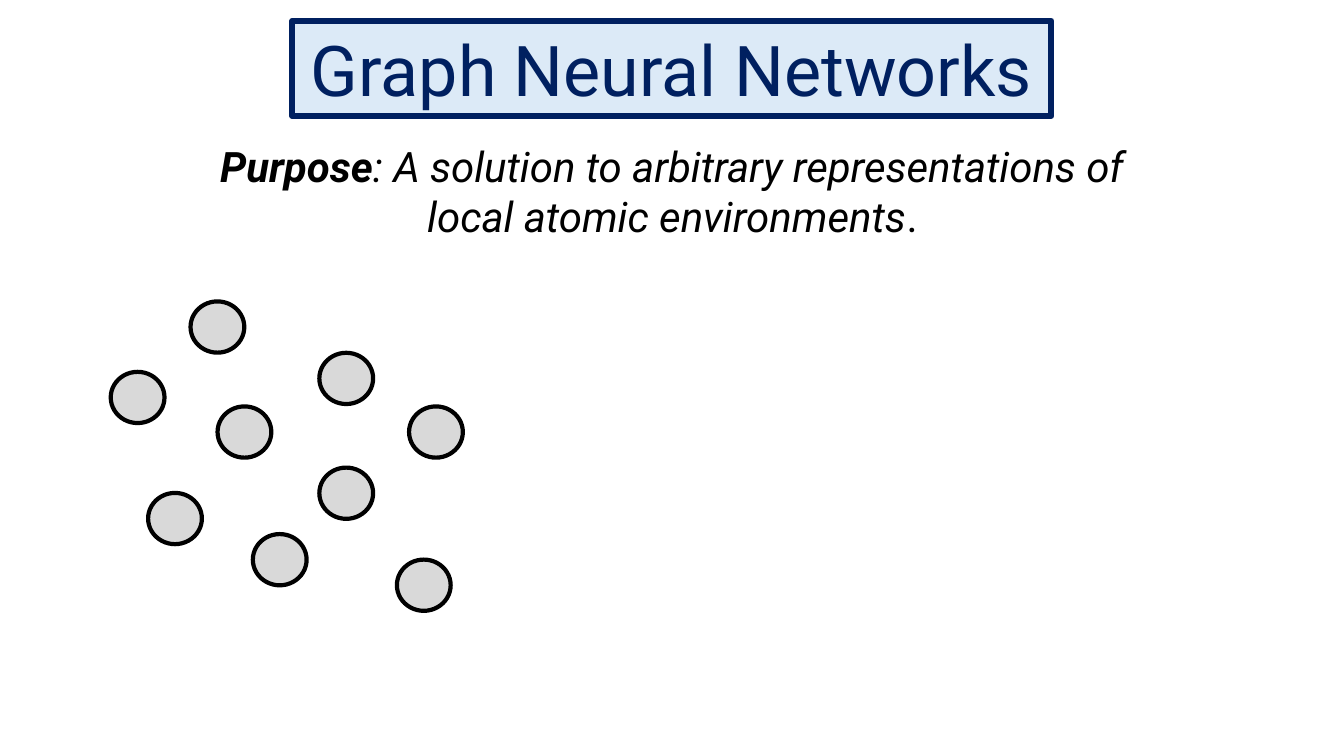
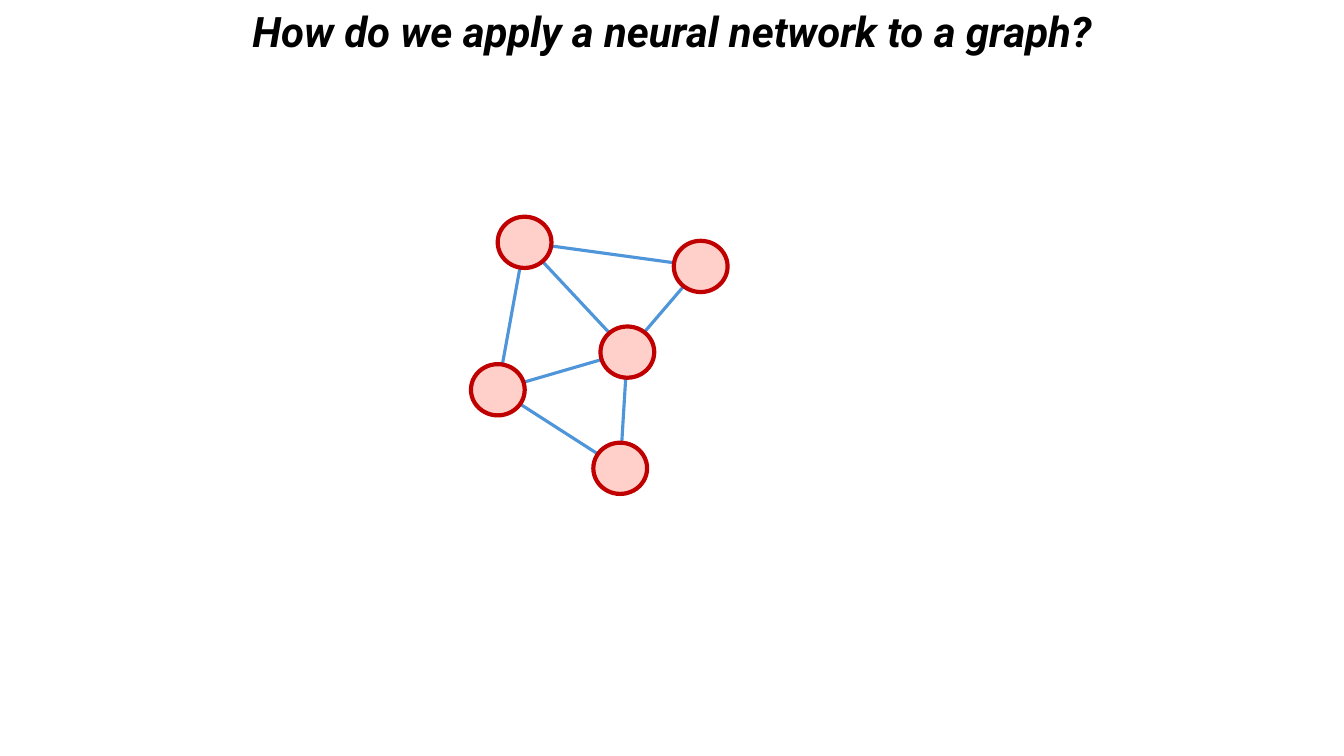
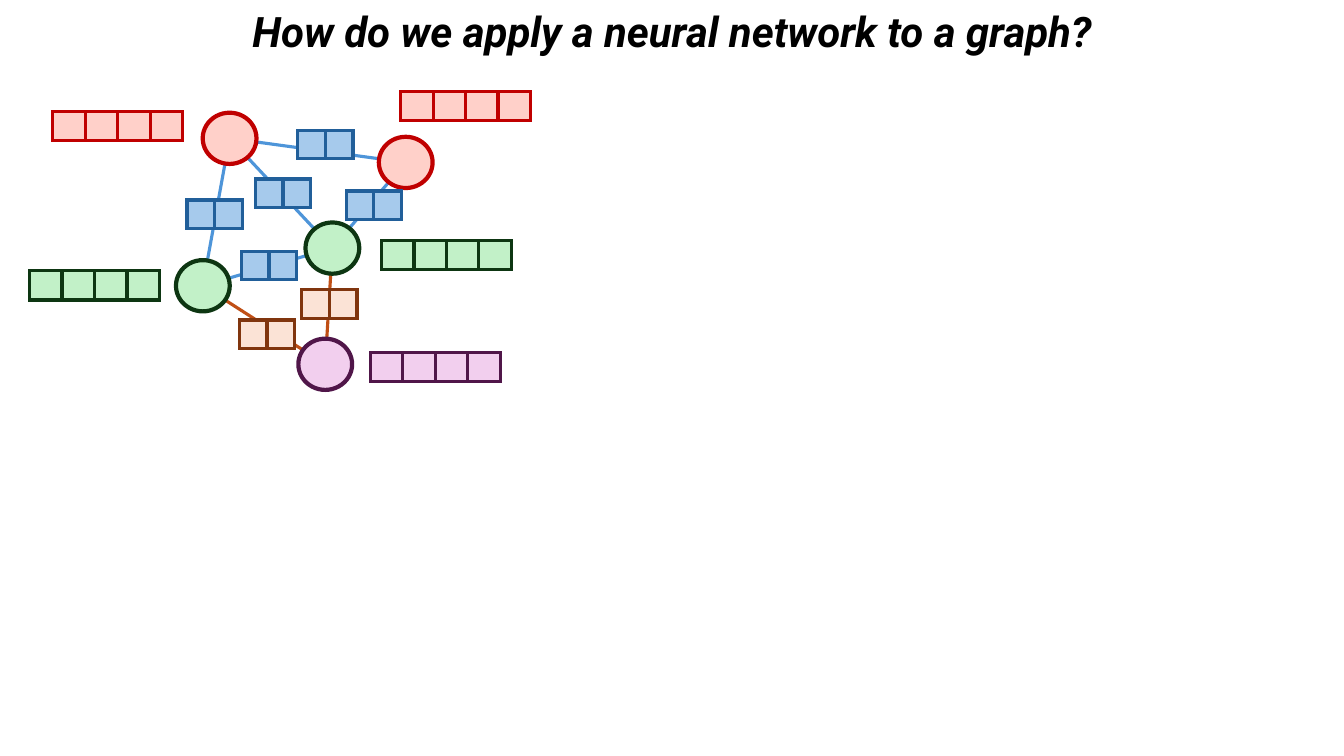
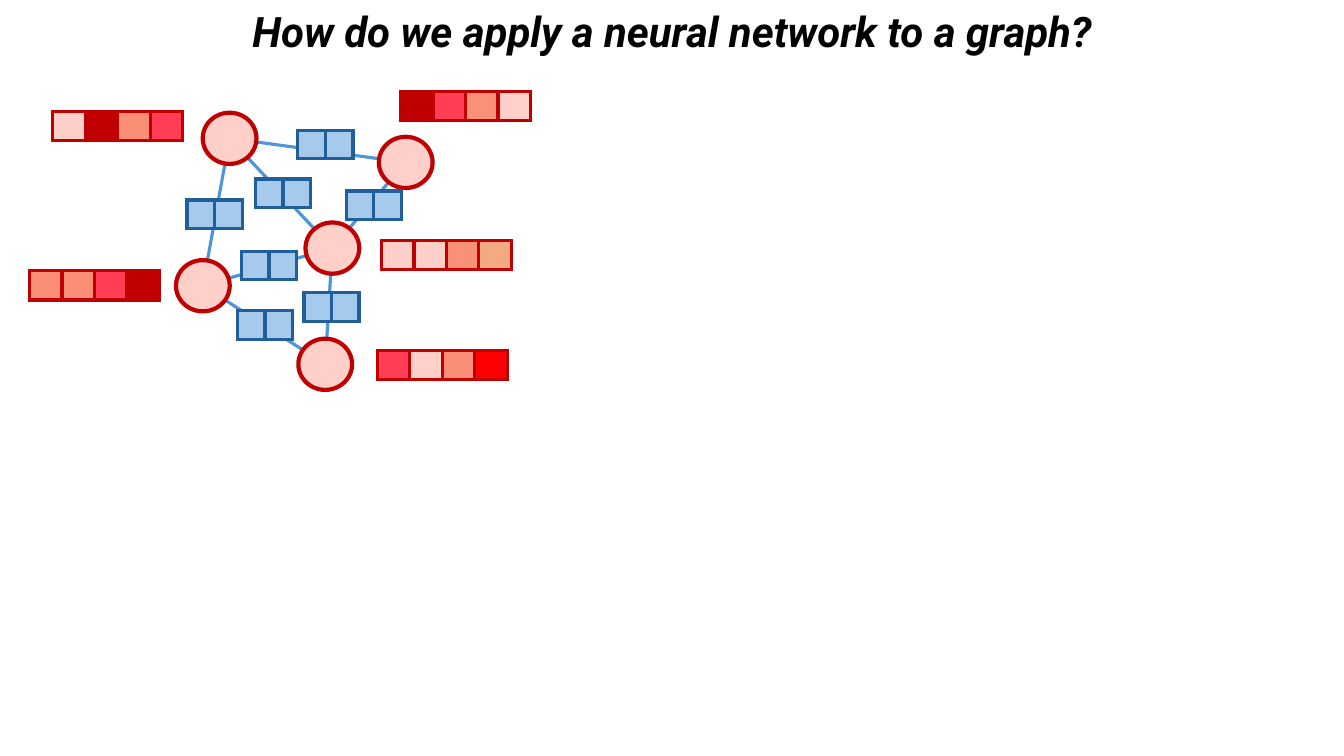
import dataclasses

import lxml.etree
import pptx
import pptx.dml.color
import pptx.enum.shapes
import pptx.enum.text
import pptx.oxml.ns
import pptx.util

Pt = pptx.util.Pt
SHAPES = pptx.enum.shapes.MSO_SHAPE


@dataclasses.dataclass(frozen=True)
class Style:
    """Fill colour, outline colour and outline width."""
    fill: str
    line: str
    width: float


@dataclasses.dataclass(frozen=True)
class Theme:
    font: str = "Roboto"
    banner_size: float = 50
    heading_size: float = 30
    text: str = "000000"
    navy: str = "002060"
    banner: Style = Style("DCEAF7", "002060", 4.5)
    atom: Style = Style("D9D9D9", "000000", 3)
    # Nodes
    red: Style = Style("FFD0C9", "C00000", 3)
    green: Style = Style("C2F1C8", "0D3612", 3)
    purple: Style = Style("F2CFEE", "501649", 3)
    # Edge feature cells
    blue: Style = Style("A6CAEC", "215F9A", 2.25)
    orange: Style = Style("FBE3D6", "80350E", 2.25)
    edge_blue: str = "4E95D9"
    edge_orange: str = "C04F15"
    thin_line: float = 2.25
    # Shades of node feature values
    pale: str = "FFD0C9"
    dark: str = "C00000"
    rose: str = "FF3E55"
    coral: str = "FA8E76"
    salmon: str = "F9907A"
    sand: str = "F2AA84"
    bright: str = "FF0000"
    # Sizes of a node and of feature cells
    node: tuple = (38.4, 36.6)
    node_cell: tuple = (23.2, 20.9)
    edge_cell: tuple = (19.7, 20.2)


THEME = Theme()


def rgb(value):
    return pptx.dml.color.RGBColor.from_string(value)


class Deck:
    """Holds the theme and the current slide, and draws its elements."""

    def __init__(self, theme):
        self.theme = theme
        self.presentation = pptx.Presentation()
        self.presentation.slide_width = Pt(960)
        self.presentation.slide_height = Pt(540)
        self.slide = None

    def new_slide(self):
        layout = self.presentation.slide_layouts[6]
        self.slide = self.presentation.slides.add_slide(layout)

    def shape(self, kind, box, style, parent=None):
        shapes = (parent or self.slide).shapes
        shape = shapes.add_shape(kind, *map(Pt, box))
        shape.shadow.inherit = False
        shape.fill.solid()
        shape.fill.fore_color.rgb = rgb(style.fill)
        shape.line.color.rgb = rgb(style.line)
        shape.line.width = Pt(style.width)
        return shape

    def set_text(self, shape, runs, size, color):
        """Fill in one centred paragraph; each run is (text, font values)."""
        frame = shape.text_frame
        frame.word_wrap = True
        frame.auto_size = pptx.enum.text.MSO_AUTO_SIZE.SHAPE_TO_FIT_TEXT
        paragraph = frame.paragraphs[0]
        paragraph.alignment = pptx.enum.text.PP_ALIGN.CENTER
        for text, values in runs:
            run = paragraph.add_run()
            run.text = text
            font_values = {"name": self.theme.font, "size": Pt(size), **values}
            for name, value in font_values.items():
                setattr(run.font, name, value)
            run.font.color.rgb = rgb(color)

    def text(self, box, runs):
        shape = self.slide.shapes.add_textbox(*map(Pt, box))
        self.set_text(shape, runs, self.theme.heading_size, self.theme.text)

    def banner(self, box, text):
        shape = self.shape(SHAPES.RECTANGLE, box, self.theme.banner)
        self.set_text(shape, [(text, {})], self.theme.banner_size, self.theme.navy)

    def question(self, text):
        self.text((126.7, 0.7, 707, 43.9), [(text, {"bold": True, "italic": True})])

    def node(self, center, style):
        width, height = self.theme.node
        box = (center[0] - width / 2, center[1] - height / 2, width, height)
        self.shape(SHAPES.OVAL, box, style)

    def edge(self, start, end, color):
        connector = self.slide.shapes.add_connector(
            pptx.enum.shapes.MSO_CONNECTOR.STRAIGHT, *map(Pt, (*start, *end)))
        connector.line.color.rgb = rgb(color)
        connector.line.width = Pt(self.theme.thin_line)
        lxml.etree.SubElement(connector._element.spPr,
                              pptx.oxml.ns.qn("a:effectLst"))

    def features(self, corner, cell, fills, line):
        """Draw a row of touching cells as one group."""
        group = self.slide.shapes.add_group_shape()
        width, height = cell
        for index, fill in enumerate(fills):
            box = (corner[0] + index * width, corner[1], width, height)
            style = Style(fill, line, self.theme.thin_line)
            shape = self.shape(SHAPES.RECTANGLE, box, style, group)
            outline = shape._element.spPr.find(pptx.oxml.ns.qn("a:ln"))
            lxml.etree.SubElement(outline, pptx.oxml.ns.qn("a:miter"), lim="800000")

    def graph(self, node_styles, edge_colors, offset=(0, 0)):
        centers = {name: (x + offset[0], y + offset[1])
                   for name, (x, y) in NODES.items()}
        for pair, color in edge_colors.items():
            self.edge(centers[pair[0]], centers[pair[1]], color)
        for name, style in node_styles.items():
            self.node(centers[name], style)

    def edge_features(self, corners, styles):
        for pair, corner in corners.items():
            style = styles[pair]
            self.features(corner, self.theme.edge_cell, [style.fill] * 2, style.line)

    def node_features(self, corners, fills, styles):
        for name, corner in corners.items():
            self.features(corner, self.theme.node_cell, fills[name],
                          styles[name].line)


# Node centres and the edges between them
ATOMS = [(155.3, 233.6), (247.3, 270.3), (174.6, 308.6), (247.3, 352.3),
         (125, 370.4), (199.8, 399.8), (311.4, 308.6), (302.7, 418),
         (98.3, 283.9)]
NODES = {"A": (164, 98.8), "B": (289.8, 116), "C": (144.9, 204.1),
         "D": (232.3, 260.2), "E": (237.4, 177.2)}
EDGES = ["AB", "AE", "AC", "CD", "ED", "CE", "EB"]

# Top left corners of the feature rows
NODE_ROWS = {"A": (37.7, 79.6), "B": (286.2, 65.2), "C": (21.2, 193.4),
             "D": (264.6, 251.6), "E": (272.5, 171.7)}
EDGE_ROWS = {"AB": (212.8, 93.2), "AC": (133.6, 142.9), "AE": (182.5, 127.8),
             "EB": (247.3, 136.4), "CE": (172.4, 179.6), "CD": (171, 228.6),
             "ED": (215.6, 207)}

QUESTION = "How do we apply a neural network to a graph?"


def main():
    deck = Deck(THEME)
    all_red = dict.fromkeys(NODES, THEME.red)
    all_blue = dict.fromkeys(EDGES, THEME.edge_blue)
    blue_cells = dict.fromkeys(EDGES, THEME.blue)

    # Slide 1: separate atoms
    deck.new_slide()
    deck.banner((208.8, 15, 542.2, 67.8), "Graph Neural Networks")
    deck.text((142.6, 96.5, 675.4, 79.9), [
        ("Purpose", {"bold": True, "italic": True}),
        (": A solution to arbitrary representations of local atomic environments",
         {"italic": True}),
        (".", {}),
    ])
    for center in ATOMS:
        deck.node(center, THEME.atom)

    # Slide 2: plain graph
    deck.new_slide()
    deck.question(QUESTION)
    deck.graph(all_red, all_blue, offset=(210.7, 74.3))

    # Slide 3: node and edge types with their features
    deck.new_slide()
    deck.question(QUESTION)
    node_types = {**all_red, "C": THEME.green, "D": THEME.purple, "E": THEME.green}
    orange_edges = ("CD", "ED")
    deck.graph(node_types,
               {**all_blue, **dict.fromkeys(orange_edges, THEME.edge_orange)})
    deck.edge_features(
        EDGE_ROWS, {**blue_cells, **dict.fromkeys(orange_edges, THEME.orange)})
    deck.node_features(
        NODE_ROWS, {name: [style.fill] * 4 for name, style in node_types.items()},
        node_types)

    # Slide 4: one type, with differing feature values
    deck.new_slide()
    deck.question(QUESTION)
    deck.graph(all_red, all_blue)
    deck.edge_features({**EDGE_ROWS, "CD": (169.6, 222.1), "ED": (217.1, 209.2)},
                       blue_cells)
    values = {
        "A": (THEME.pale, THEME.dark, THEME.coral, THEME.rose),
        "B": (THEME.dark, THEME.rose, THEME.salmon, THEME.pale),
        "C": (THEME.coral, THEME.coral, THEME.rose, THEME.dark),
        "D": (THEME.rose, THEME.pale, THEME.coral, THEME.bright),
        "E": (THEME.pale, THEME.pale, THEME.salmon, THEME.sand),
    }
    deck.node_features({**NODE_ROWS, "D": (269.6, 250.2)}, values, all_red)

    deck.presentation.save("out.pptx")


if __name__ == "__main__":
    main()
